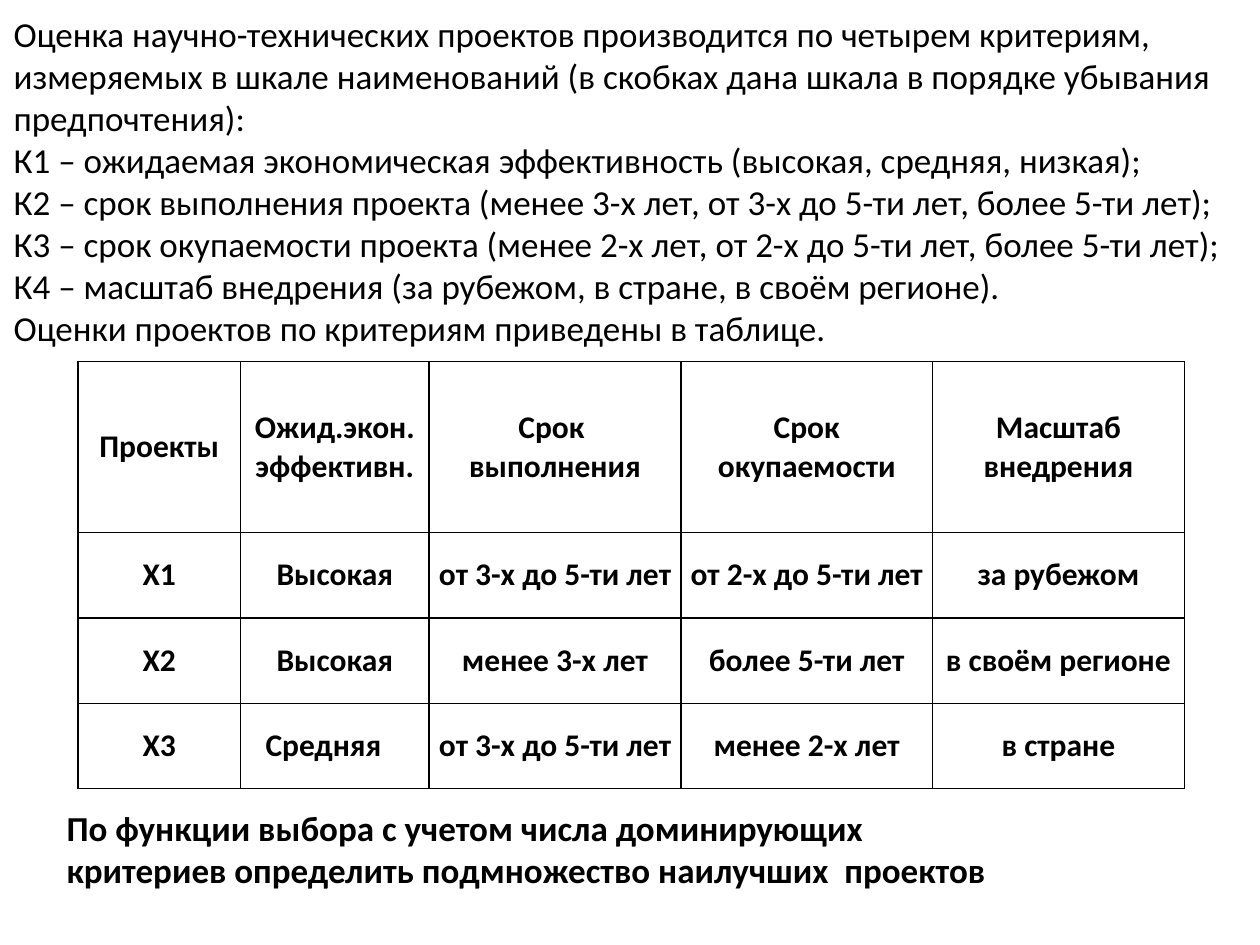
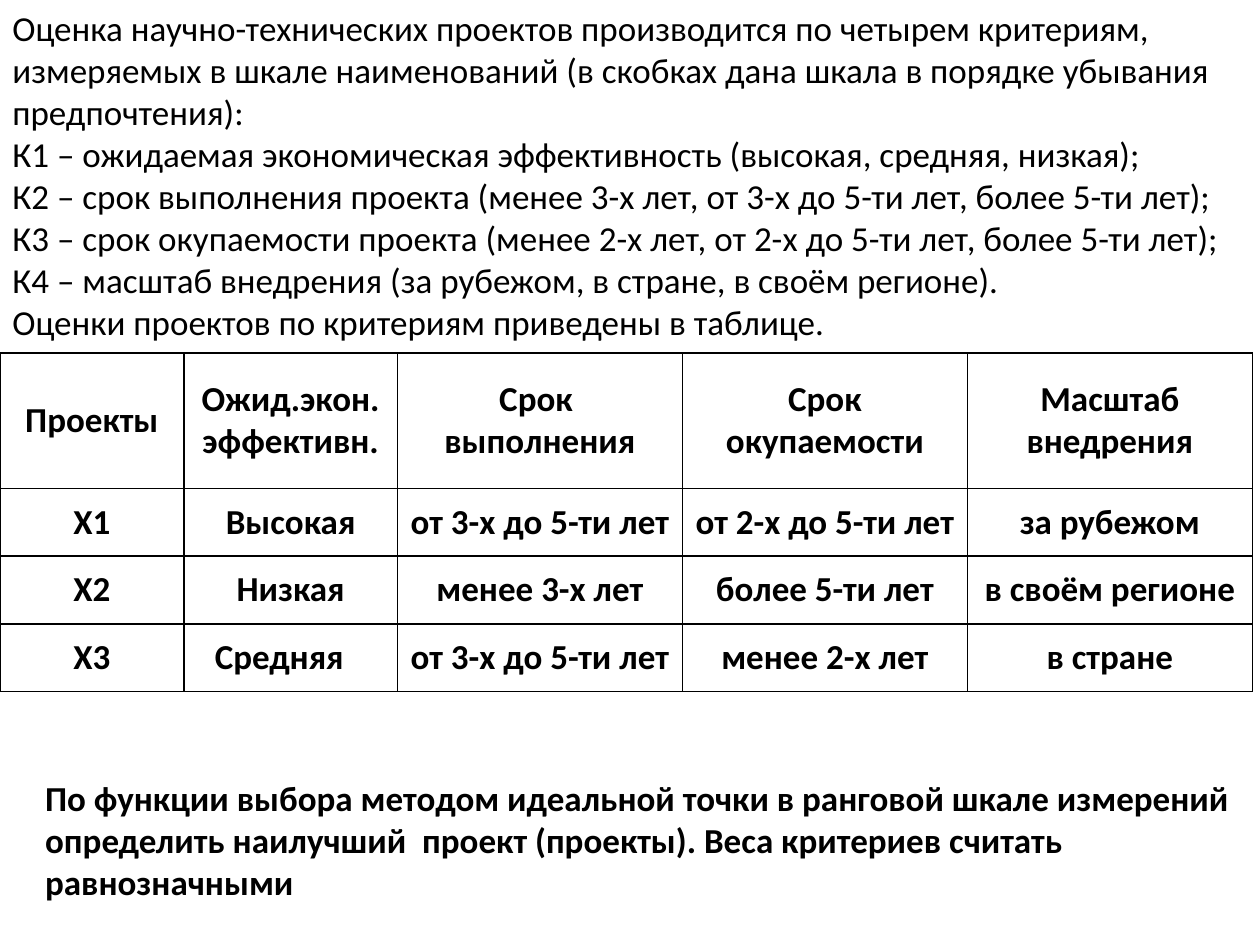
import dataclasses

import lxml.etree
import pptx
import pptx.dml.color
import pptx.enum.text
import pptx.oxml.ns
import pptx.util


@dataclasses.dataclass(frozen=True)
class Theme:
    font: str = "Calibri"
    ink: str = "000000"
    body_size: int = 20
    compact_size: int = 18
    border_width: float = 1
    header_space: int = 6
    cell_inset: float = 0.7


THEME = Theme()

# The slide is a grid of 100 columns by 75 rows of square units.
SLIDE_COLUMNS, SLIDE_ROWS = 100, 75
UNIT = pptx.util.Inches(0.1)

CRITERIA = [
    "Оценка научно-технических проектов производится по четырем критериям, "
    "измеряемых в шкале наименований (в скобках дана шкала в порядке убывания "
    "предпочтения):",
    "К1 – ожидаемая экономическая эффективность (высокая, средняя, низкая);",
    "К2 – срок выполнения проекта (менее 3-х лет, от 3-х до 5-ти лет, более 5-ти лет);",
    "К3 – срок окупаемости проекта (менее 2-х лет, от 2-х до 5-ти лет, более 5-ти лет);",
    "К4 – масштаб внедрения (за рубежом, в стране, в своём регионе).",
    "Оценки проектов по критериям приведены в таблице.",
]
HEADINGS = ["Проекты", "Ожид.экон.\nэффективн.", "Срок \nвыполнения",
            "Срок\nокупаемости", "Масштаб\nвнедрения"]
COLUMN_SHARES = [1.29, 1.5, 2, 2, 2]
ROW_SHARES = [2, 1, 1, 1]

# Extra right inset that moves this rating left of its column's centre.
SHIFTED_RATING, RATING_SHIFT = "Средняя", 1.8

CHOICE_TASK = ("По функции выбора с учетом числа доминирующих критериев "
               "определить подмножество наилучших  проектов")
IDEAL_POINT_TASK = ("По функции выбора методом идеальной точки в ранговой шкале "
                    "измерений определить наилучший  проект (проекты). "
                    "Веса критериев считать равнозначными")


def units(count):
    return pptx.util.Emu(round(count * UNIT))


def project_ratings(second_efficiency):
    """Table rows; only the efficiency of the second project varies."""
    return [
        HEADINGS,
        ["Х1", "Высокая", "от 3-х до 5-ти лет", "от 2-х до 5-ти лет", "за рубежом"],
        ["Х2", second_efficiency, "менее 3-х лет", "более 5-ти лет", "в своём регионе"],
        ["Х3", SHIFTED_RATING, "от 3-х до 5-ти лет", "менее 2-х лет", "в стране"],
    ]


def write_lines(frame, lines, size, bold=False, align=None):
    for index, line in enumerate(lines):
        paragraph = frame.add_paragraph() if index else frame.paragraphs[0]
        paragraph.alignment = align
        run = paragraph.add_run()
        run.text = line
        run.font.name = THEME.font
        run.font.size = pptx.util.Pt(size)
        run.font.bold = bold
        run.font.color.rgb = pptx.dml.color.RGBColor.from_string(THEME.ink)


def add_text(slide, area, lines, bold=False):
    frame = slide.shapes.add_textbox(*map(units, area)).text_frame
    frame.word_wrap = True
    frame.auto_size = pptx.enum.text.MSO_AUTO_SIZE.SHAPE_TO_FIT_TEXT
    write_lines(frame, lines, THEME.body_size, bold)


def outline_cell(cell):
    """Draw all four borders; they must precede the fill in the cell properties."""
    properties = cell._tc.get_or_add_tcPr()
    qn = pptx.oxml.ns.qn
    for position, side in enumerate(("a:lnL", "a:lnR", "a:lnT", "a:lnB")):
        border = lxml.etree.Element(qn(side), w=str(pptx.util.Pt(THEME.border_width)))
        fill = lxml.etree.SubElement(border, qn("a:solidFill"))
        lxml.etree.SubElement(fill, qn("a:srgbClr"), val=THEME.ink)
        properties.insert(position, border)


def fill_cell(cell, content, size):
    shift = RATING_SHIFT if content == SHIFTED_RATING else 0
    cell.margin_left = units(THEME.cell_inset)
    cell.margin_right = units(THEME.cell_inset + shift)
    cell.margin_top = cell.margin_bottom = 0
    cell.vertical_anchor = pptx.enum.text.MSO_ANCHOR.MIDDLE
    cell.fill.background()
    outline_cell(cell)
    write_lines(cell.text_frame, content.split("\n"), size, bold=True,
                align=pptx.enum.text.PP_ALIGN.CENTER)


def add_ratings_table(slide, area, ratings, size):
    width, height = area[2:]
    table = slide.shapes.add_table(len(ratings), len(HEADINGS), *map(units, area)).table
    table.first_row = table.horz_banding = False
    for column, share in zip(table.columns, COLUMN_SHARES):
        column.width = units(width * share / sum(COLUMN_SHARES))
    for row, share, contents in zip(table.rows, ROW_SHARES, ratings):
        row.height = units(height * share / sum(ROW_SHARES))
        for cell, content in zip(row.cells, contents):
            fill_cell(cell, content, size)
    first_heading = table.cell(0, 0).text_frame.paragraphs[0]
    first_heading.space_before = pptx.util.Pt(THEME.header_space)


def add_problem(deck, criteria_area, table_area, ratings, table_size, task_area, task):
    slide = deck.slides.add_slide(deck.slide_layouts[6])
    add_text(slide, criteria_area, CRITERIA)
    add_ratings_table(slide, table_area, ratings, table_size)
    add_text(slide, task_area, [task], bold=True)


def main():
    deck = pptx.Presentation()
    deck.slide_width = units(SLIDE_COLUMNS)
    deck.slide_height = units(SLIDE_ROWS)
    add_problem(deck,
                criteria_area=(0.1, 0.5, SLIDE_COLUMNS, 27.9),
                table_area=(6.2, 28.7, 87.8, 33.9),
                ratings=project_ratings("Высокая"), table_size=THEME.compact_size,
                task_area=(4.3, 63.5, 78, 7.7), task=CHOICE_TASK)
    add_problem(deck,
                criteria_area=(0, 0, SLIDE_COLUMNS, 27.9),
                table_area=(0, 28, 99.4, 26.9),
                ratings=project_ratings("Низкая"), table_size=THEME.body_size,
                task_area=(2.6, 61.1, 96.9, 11.1), task=IDEAL_POINT_TASK)
    deck.save("out.pptx")


if __name__ == "__main__":
    main()
